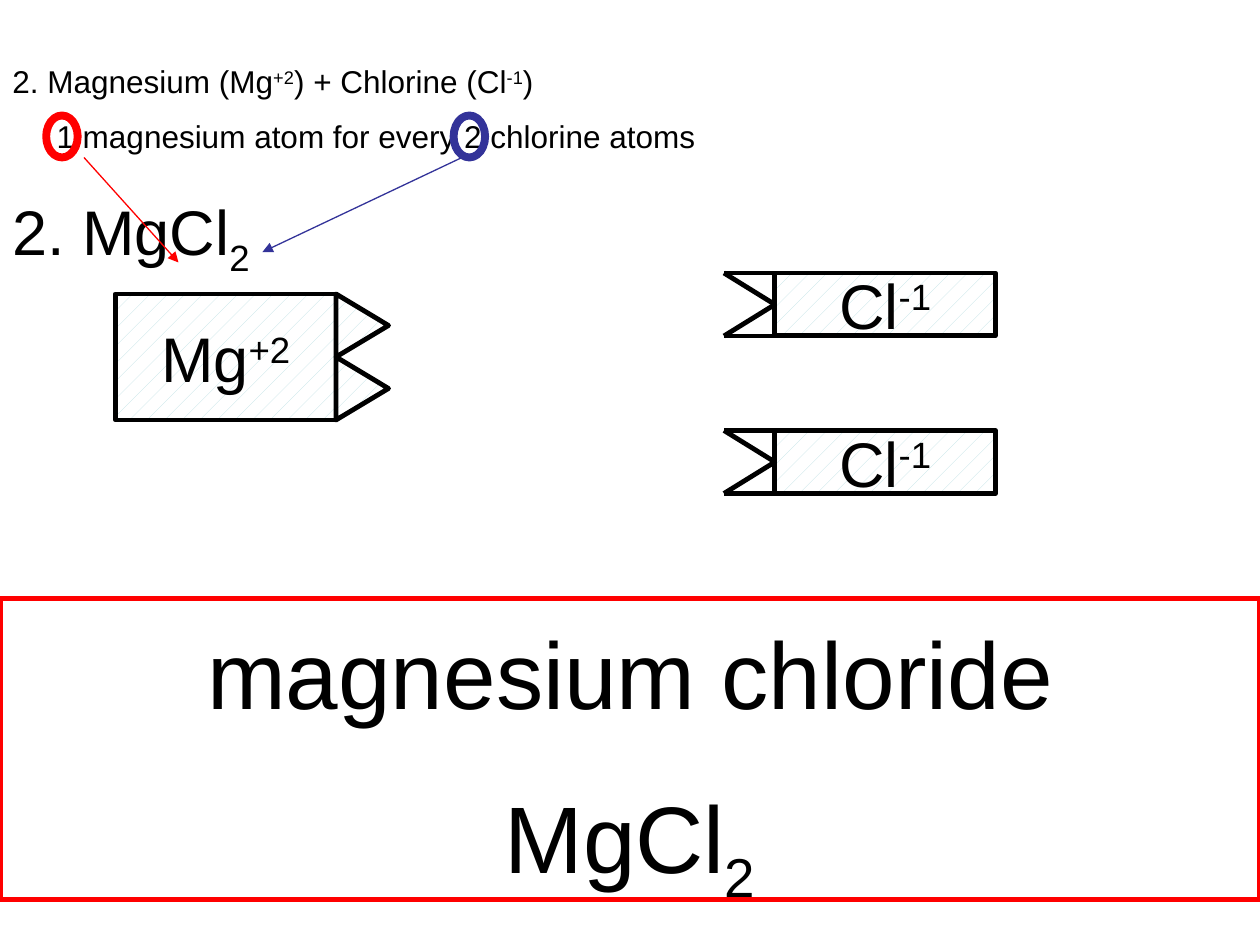
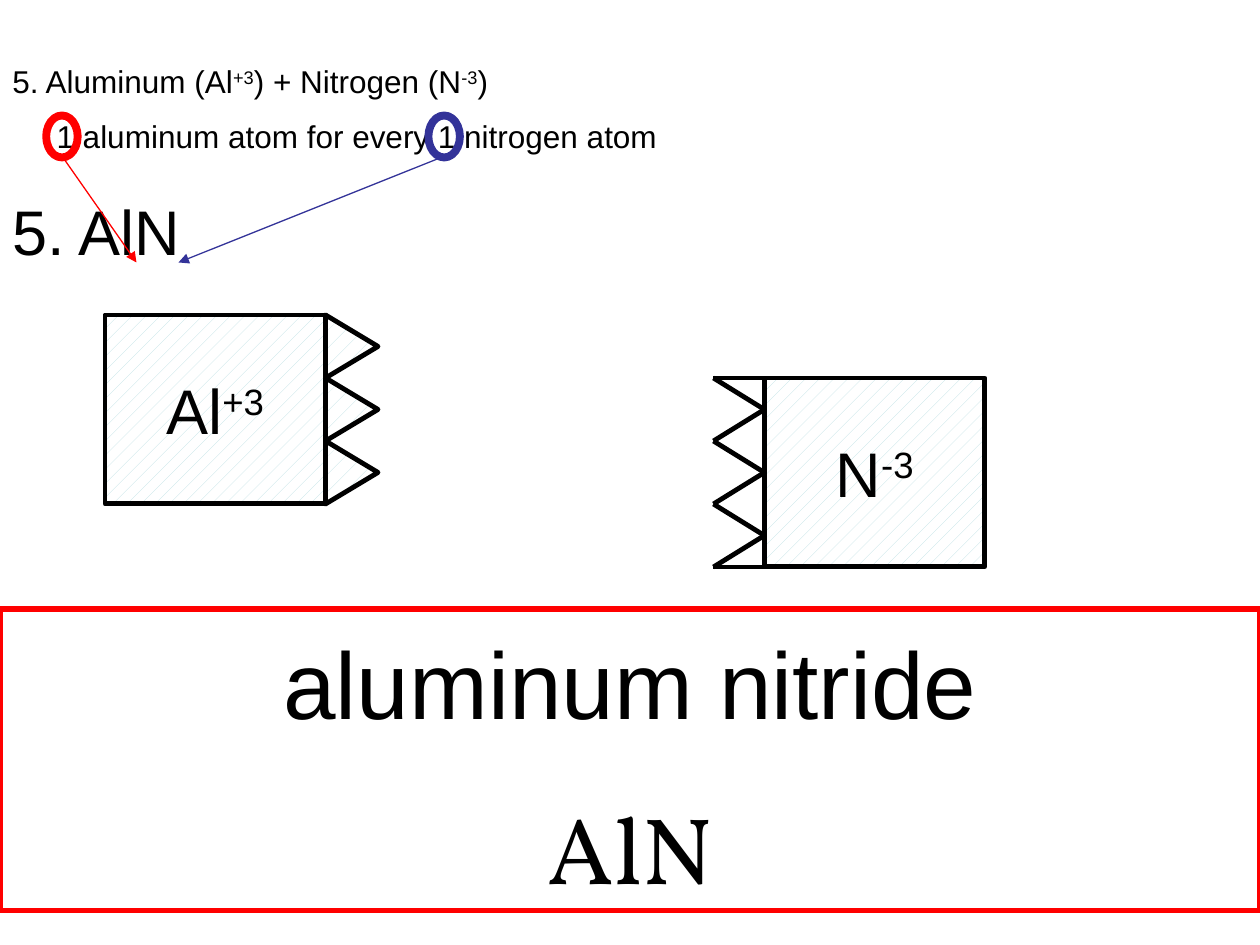
"""Builds two slides that fit ions together into ionic compounds."""
from dataclasses import dataclass

from lxml import etree
from pptx import Presentation
from pptx.dml.color import RGBColor
from pptx.enum.dml import MSO_PATTERN
from pptx.enum.shapes import MSO_CONNECTOR, MSO_SHAPE
from pptx.enum.text import MSO_ANCHOR, PP_ALIGN
from pptx.oxml.ns import qn
from pptx.util import Emu, Inches, Pt

RECTANGLE, OVAL = MSO_SHAPE.RECTANGLE, MSO_SHAPE.OVAL
TRIANGLE, STRAIGHT = MSO_SHAPE.ISOSCELES_TRIANGLE, MSO_CONNECTOR.STRAIGHT
LEFT, CENTER = PP_ALIGN.LEFT, PP_ALIGN.CENTER
TOP, MIDDLE = MSO_ANCHOR.TOP, MSO_ANCHOR.MIDDLE
LIGHT, DENSE = MSO_PATTERN.PERCENT_5, MSO_PATTERN.PERCENT_10

SLIDE_WIDTH, SLIDE_HEIGHT = Inches(10), Inches(7.5)
COLUMNS = 120
CELL = SLIDE_WIDTH / COLUMNS
BLACK, WHITE, RED, BLUE, TINT = "000000", "FFFFFF", "FF0000", "333399", "BBE0E3"
BODY_FONT = "Arial"
BASELINES = {"^": "30000", "_": "-25000"}

ION_WIDTH, CHARGE_HEIGHT = 21, 6
TOOTH_DEPTH, NOTCH_DEPTH = 5, 4.85
ION_LINE = 2.75
RING_WIDTH, RING_HEIGHT, RING_TOP = 3, 4, 11
ANSWER_HEIGHT = 28.7


@dataclass(frozen=True)
class Ion:
    """An ion block placed by its left column and top row."""
    symbol: str
    left: float
    top: float
    charge: int
    pattern: MSO_PATTERN = LIGHT


@dataclass(frozen=True)
class Count:
    """A ringed atom count with an arrow to its place in the formula."""
    ring_left: float
    start: tuple[float, float]
    end: tuple[float, float]
    color: str


@dataclass(frozen=True)
class Compound:
    """The content of one slide."""
    equation: str
    ratio: str
    answer: str
    name: str
    formula: str
    formula_font: str
    answer_top: float
    counts: tuple[Count, ...]
    cations: tuple[Ion, ...]
    anions: tuple[Ion, ...]


COMPOUNDS = (
    Compound(
        "2. Magnesium (Mg|^+2|) + Chlorine (Cl|^-1|)",
        "1 magnesium atom for every 2 chlorine atoms",
        "2. MgCl|_2", "magnesium chloride", "MgCl|_2", BODY_FONT, 57,
        (Count(4.4, (8, 15), (17, 25), RED), Count(43.2, (44, 15), (25, 24), BLUE)),
        (Ion("Mg|^+2", 11, 28, 2),),
        (Ion("Cl|^-1", 73.8, 26, 1), Ion("Cl|^-1", 73.8, 41, 1)),
    ),
    Compound(
        "5. Aluminum (Al|^+3|) + Nitrogen (N|^-3|)",
        "1 aluminum atom for every 1 nitrogen atom",
        "5. AlN", "aluminum nitride", "AlN", "Vollkorn", 58,
        (Count(4.4, (6, 15), (13, 25), RED), Count(40.8, (42, 15), (17, 25), BLUE)),
        (Ion("Al|^+3", 10, 30, 3, DENSE),),
        (Ion("N|^-3", 72.8, 36, 3, DENSE),),
    ),
)


def cells(*counts: float) -> list[Emu]:
    """Convert grid cells to slide lengths."""
    return [Emu(round(count * CELL)) for count in counts]


def rgb(color: str) -> RGBColor:
    """Turn a hex string into a colour."""
    return RGBColor.from_string(color)


def write(frame, text: str, *, size: float, font: str = BODY_FONT, align=LEFT,
          before: float = 0, indent: float = 0, first: bool = False) -> None:
    """Write a paragraph whose parts marked ^ or _ are raised or lowered."""
    paragraph = frame.paragraphs[0] if first else frame.add_paragraph()
    paragraph.alignment = align
    if before:
        paragraph.space_before = Pt(before)
    if indent:
        paragraph._p.get_or_add_pPr().set("marL", str(Inches(indent)))
    for part in text.split("|"):
        run = paragraph.add_run()
        run.text = part.lstrip("^_")
        run.font.size, run.font.name = Pt(size), font
        run.font.color.rgb = rgb(BLACK)
        if part[0] in BASELINES:
            run._r.get_or_add_rPr().set("baseline", BASELINES[part[0]])


def add_outline(shapes, kind, box: tuple, color: str, width: float, pattern=None):
    """Add a preset shape with an outline and an optional pattern fill."""
    shape = shapes.add_shape(kind, *cells(*box))
    shape.shadow.inherit = False
    shape.line.color.rgb, shape.line.width = rgb(color), Pt(width)
    if pattern is None:
        shape.fill.background()
    else:
        shape.fill.patterned()
        shape.fill.pattern = pattern
        shape.fill.fore_color.rgb, shape.fill.back_color.rgb = rgb(TINT), rgb(WHITE)
    return shape


def add_line(shapes, start: tuple, end: tuple, color: str, width: float,
             arrow: bool = False) -> None:
    """Add a straight line, with an arrowhead at its end if asked."""
    line = shapes.add_connector(STRAIGHT, *cells(*start, *end))
    line.line.color.rgb, line.line.width = rgb(color), Pt(width)
    if arrow:
        etree.SubElement(line.line._get_or_add_ln(), qn("a:tailEnd"), type="triangle")
    etree.SubElement(line._element.spPr, qn("a:effectLst"))


def add_body(shapes, ion: Ion) -> None:
    """Add the labelled block of an ion, one step high per charge."""
    box = (ion.left, ion.top, ION_WIDTH, ion.charge * CHARGE_HEIGHT)
    body = add_outline(shapes, RECTANGLE, box, BLACK, ION_LINE, ion.pattern)
    body.text_frame.word_wrap = False
    body.text_frame.vertical_anchor = MIDDLE
    write(body.text_frame, ion.symbol, size=36, align=CENTER, first=True)


def add_cation(slide, ion: Ion) -> None:
    """Add an ion with one pointed tooth per charge on its right."""
    shapes = slide.shapes.add_group_shape().shapes
    add_body(shapes, ion)
    shift = (CHARGE_HEIGHT - TOOTH_DEPTH) / 2
    for step in range(ion.charge):
        box = (ion.left + ION_WIDTH - shift, ion.top + step * CHARGE_HEIGHT + shift,
               CHARGE_HEIGHT, TOOTH_DEPTH)
        add_outline(shapes, TRIANGLE, box, BLACK, ION_LINE, LIGHT).rotation = 90


def add_anion(slide, ion: Ion) -> None:
    """Add an ion with one open notch per charge on its left."""
    shapes = slide.shapes.add_group_shape().shapes
    add_body(shapes, ion)
    tip, bottom = ion.left - NOTCH_DEPTH, ion.top + ion.charge * CHARGE_HEIGHT
    strokes = [((ion.left, edge), (tip, edge)) for edge in (ion.top, bottom)]
    strokes.append(((ion.left, bottom), (ion.left, ion.top)))
    for step in range(ion.charge):
        notch_top = ion.top + step * CHARGE_HEIGHT
        middle = (ion.left, notch_top + CHARGE_HEIGHT / 2)
        strokes += [(middle, (tip, notch_top)),
                    (middle, (tip, notch_top + CHARGE_HEIGHT))]
    for start, end in strokes:
        add_line(shapes, start, end, BLACK, ION_LINE)


def add_question(slide, compound: Compound) -> None:
    """Add the equation, the atom ratio and the worked formula."""
    frame = slide.shapes.add_textbox(*cells(0, 5.35, 68, 21)).text_frame
    frame.word_wrap = True
    write(frame, compound.equation, size=18, first=True)
    write(frame, compound.ratio, size=18, before=9.6, indent=0.35)
    write(frame, compound.answer, size=36, before=21.6)


def add_count(slide, count: Count) -> None:
    """Ring an atom count and point from it to the formula."""
    box = (count.ring_left, RING_TOP, RING_WIDTH, RING_HEIGHT)
    add_outline(slide.shapes, OVAL, box, count.color, 4.5)
    add_line(slide.shapes, count.start, count.end, count.color, 0.75, arrow=True)


def add_answer(slide, compound: Compound) -> None:
    """Add the framed name and formula of the compound."""
    box = (0, compound.answer_top, COLUMNS, ANSWER_HEIGHT)
    frame = add_outline(slide.shapes, RECTANGLE, box, RED, 3).text_frame
    frame.word_wrap = True
    frame.vertical_anchor = TOP
    frame.margin_top = Inches(0.13)
    write(frame, compound.name, size=54, align=CENTER, first=True)
    write(frame, compound.formula, size=54, font=compound.formula_font,
          align=CENTER, before=29)


def main() -> None:
    """Build and save the presentation."""
    deck = Presentation()
    deck.slide_width, deck.slide_height = SLIDE_WIDTH, SLIDE_HEIGHT
    for compound in COMPOUNDS:
        slide = deck.slides.add_slide(deck.slide_layouts[6])
        add_question(slide, compound)
        for count in compound.counts:
            add_count(slide, count)
        add_answer(slide, compound)
        for ion in compound.cations:
            add_cation(slide, ion)
        for ion in compound.anions:
            add_anion(slide, ion)
    deck.save("out.pptx")


if __name__ == "__main__":
    main()
